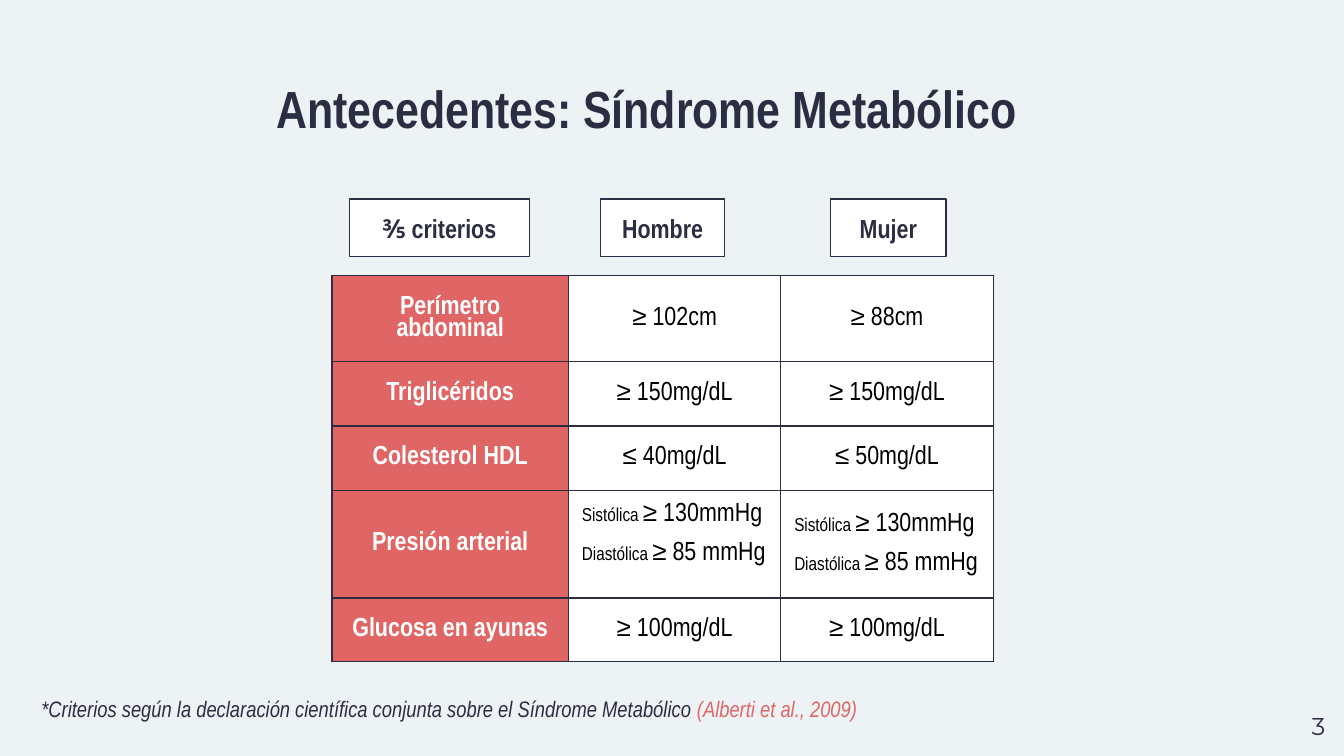
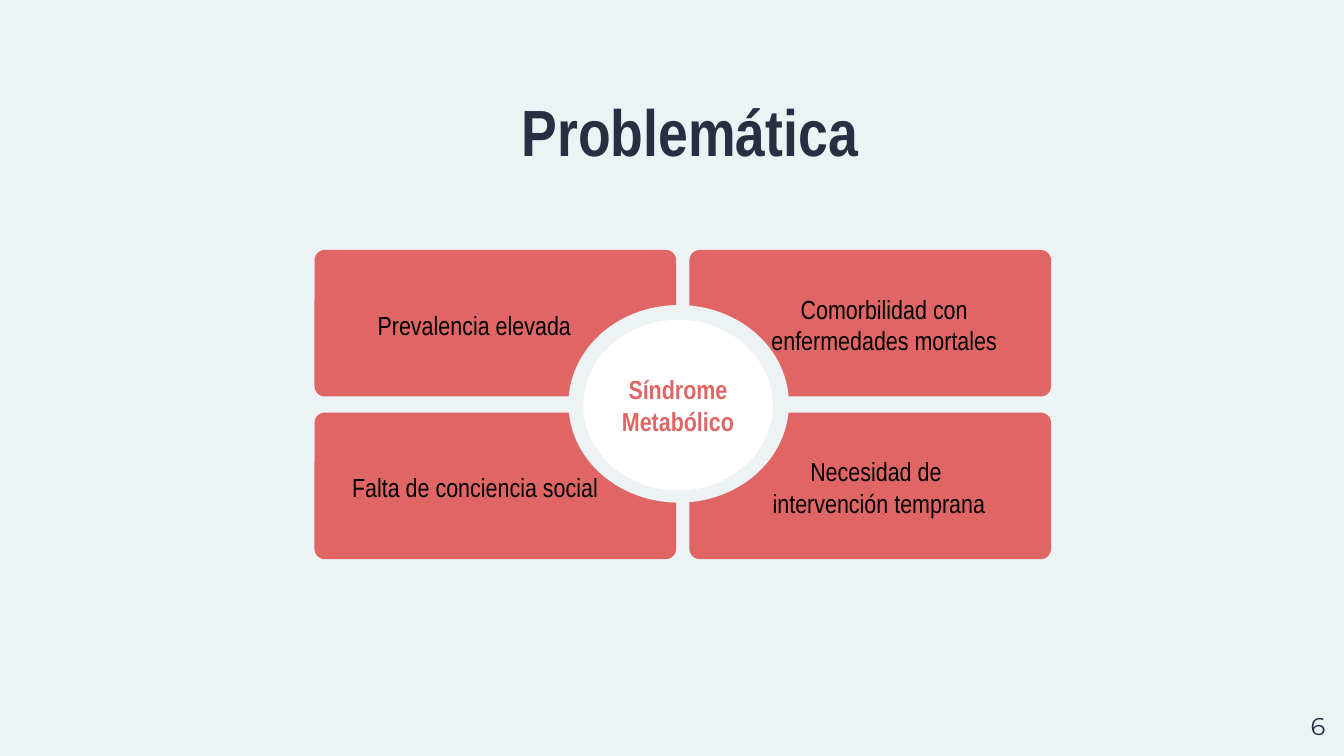
from dataclasses import dataclass

from lxml import etree
from pptx import Presentation
from pptx import util as u
from pptx.dml.color import RGBColor
from pptx.enum import shapes, text
from pptx.oxml import ns


@dataclass(frozen=True)
class Theme:
    background: str = "EDF2F4"
    navy: str = "2B2D42"
    coral: str = "E06666"
    white: str = "FFFFFF"
    black: str = "000000"
    font: str = "Arial Narrow"
    number_font: str = "Montserrat"
    table_title: float = 28
    title: float = 35
    body: float = 14
    number: float = 13
    note: float = 12
    small: float = 10
    rule: float = 0.75


theme = Theme()
align = text.PP_ALIGN
preset = shapes.MSO_SHAPE


def write(frame, content, **style):
    """Fill a frame: a string, or a list of paragraphs made of (text, changes) runs."""
    paragraphs = [[(content, {})]] if isinstance(content, str) else content
    for index, runs in enumerate(paragraphs):
        paragraph = frame.paragraphs[0] if index == 0 else frame.add_paragraph()
        paragraph.alignment = style.get("align", align.CENTER)
        paragraph.line_spacing = style.get("spacing", 1.0)
        if index:
            paragraph.space_before = u.Pt(style.get("gap", 0))
        for words, changes in runs:
            look = {**style, **changes}
            run = paragraph.add_run()
            run.text = words
            run.font.name = look.get("font", theme.font)
            run.font.size = u.Pt(look.get("size", theme.body))
            run.font.bold = look.get("bold", False)
            run.font.italic = look.get("italic", False)
            run.font.color.rgb = RGBColor.from_string(look.get("color", theme.navy))


def add_box(slide, box, kind=None, fill=None, line=None, corner=None,
            margin=0.1, anchor=text.MSO_ANCHOR.TOP):
    """Add a text box, or a filled preset shape, and return its text frame."""
    place = [u.Inches(length) for length in box]
    if kind is None:
        shape = slide.shapes.add_textbox(*place)
    else:
        shape = slide.shapes.add_shape(kind, *place)
        shape.shadow.inherit = False
        shape.fill.solid()
        shape.fill.fore_color.rgb = RGBColor.from_string(fill)
        if line:
            shape.line.color.rgb = RGBColor.from_string(line)
            shape.line.width = u.Pt(theme.rule)
        else:
            shape.line.fill.background()
        if corner:
            shape.adjustments[0] = corner
    frame = shape.text_frame
    frame.word_wrap = True
    frame.vertical_anchor = anchor
    frame.margin_left = frame.margin_right = u.Inches(margin)
    frame.margin_top = frame.margin_bottom = u.Inches(margin)
    return frame


# Widescreen, 16:9
presentation = Presentation()
presentation.slide_width = u.Inches(10)
presentation.slide_height = u.Inches(10 * 9 / 16)

# Shared: background, title and page number
pages = [
    ("Antecedentes: Síndrome Metabólico", (1.96, 0.47, 5.94, 0.72),
     theme.table_title, align.LEFT, "3"),
    ("Problemática", (2.57, 0.58, 5.13, 0.62), theme.title, align.CENTER, "6"),
]
slides = []
for title, title_box, title_size, title_align, number in pages:
    slide = presentation.slides.add_slide(presentation.slide_layouts[6])
    slide.background.fill.solid()
    slide.background.fill.fore_color.rgb = RGBColor.from_string(theme.background)
    write(add_box(slide, title_box), title, size=title_size, bold=True, align=title_align)
    write(add_box(slide, (9.36, 5.19, 0.6, 0.43)), number,
          size=theme.number, font=theme.number_font, align=align.RIGHT)
    slides.append(slide)
criteria_slide, problem_slide = slides

# Criteria table
pressure = [
    [("Sistólica ", {"size": theme.small}), ("≥ 130mmHg", {})],
    [("Diastólica ", {"size": theme.small}), ("≥ 85 mmHg", {})],
]
criteria = [
    (0.64, "Perímetro abdominal", "≥ 102cm", "≥ 88cm"),
    (0.48, "Triglicéridos", "≥ 150mg/dL", "≥ 150mg/dL"),
    (0.48, "Colesterol HDL", "≤ 40mg/dL", "≤ 50mg/dL"),
    (0.8, "Presión arterial", pressure, pressure),
    (0.47, "Glucosa en ayunas", "≥ 100mg/dL", "≥ 100mg/dL"),
]
column_widths = [1.76, 1.58, 1.58]
table = criteria_slide.shapes.add_table(
    len(criteria), len(column_widths), u.Inches(2.47), u.Inches(2.05),
    u.Inches(sum(column_widths)), u.Inches(sum(row[0] for row in criteria))).table
table.first_row = table.horz_banding = False
for column, width in zip(table.columns, column_widths):
    column.width = u.Inches(width)

for row_index, (height, *values) in enumerate(criteria):
    table.rows[row_index].height = u.Inches(height)
    for column_index, value in enumerate(values):
        cell = table.cell(row_index, column_index)
        is_label = column_index == 0
        is_list = value is pressure
        cell.fill.solid()
        cell.fill.fore_color.rgb = RGBColor.from_string(
            theme.coral if is_label else theme.white)
        cell.margin_left = cell.margin_right = u.Inches(0.1)
        cell.margin_top = cell.margin_bottom = u.Inches(0.1)
        top = is_list and column_index == 1
        cell.vertical_anchor = text.MSO_ANCHOR.TOP if top else text.MSO_ANCHOR.MIDDLE
        write(cell.text_frame, value, bold=is_label, spacing=0.9, gap=9,
              color=theme.white if is_label else theme.black,
              align=align.LEFT if is_list else align.CENTER)
        # Borders come before the fill in the cell properties
        properties = cell._tc.get_or_add_tcPr()
        for position, side in enumerate(("lnL", "lnR", "lnT", "lnB")):
            border = etree.Element(ns.qn(f"a:{side}"), w=str(u.Pt(theme.rule)))
            solid = etree.SubElement(border, ns.qn("a:solidFill"))
            etree.SubElement(solid, ns.qn("a:srgbClr"), val=theme.navy)
            properties.insert(position, border)

# Column headings
for heading, left, width in [("⅗ criterios", 2.6, 1.34), ("Hombre", 4.47, 0.92),
                             ("Mujer", 6.18, 0.86)]:
    frame = add_box(criteria_slide, (left, 1.48, width, 0.43), preset.RECTANGLE,
                    fill=theme.white, line=theme.navy)
    write(frame, heading, bold=True)

# Source note
note = [[
    ("*Criterios según la declaración científica conjunta sobre el Síndrome Metabólico ", {}),
    ("(Alberti et al., 2009)", {"color": theme.coral}),
]]
write(add_box(criteria_slide, (0.21, 5.07, 9.54, 0.43)), note,
      size=theme.note, italic=True, align=align.LEFT)

# Four cards around a central circle
for top in (1.86, 3.07):
    for left in (2.34, 5.13):
        add_box(problem_slide, (left, top, 2.69, 1.09), preset.ROUNDED_RECTANGLE,
                fill=theme.coral, corner=0.07)
add_box(problem_slide, (4.23, 2.27, 1.64, 1.47), preset.OVAL, fill=theme.background)
centre = add_box(problem_slide, (4.34, 2.38, 1.41, 1.27), preset.OVAL,
                 fill=theme.white, margin=0, anchor=text.MSO_ANCHOR.MIDDLE)
write(centre, "Síndrome Metabólico", bold=True, color=theme.coral)

# Card captions
captions = [
    ("Prevalencia elevada", (2.41, 2.2, 2.24, 0.44)),
    ("Comorbilidad con enfermedades mortales", (5.46, 2.08, 2.24, 0.67)),
    ([[("Necesidad de ", {})], [("intervención temprana", {})]], (5.42, 3.29, 2.24, 0.67)),
    ("Falta de conciencia social", (2.44, 3.41, 2.19, 0.44)),
]
for caption, box in captions:
    write(add_box(problem_slide, box), caption, color=theme.black)

presentation.save("out.pptx")
